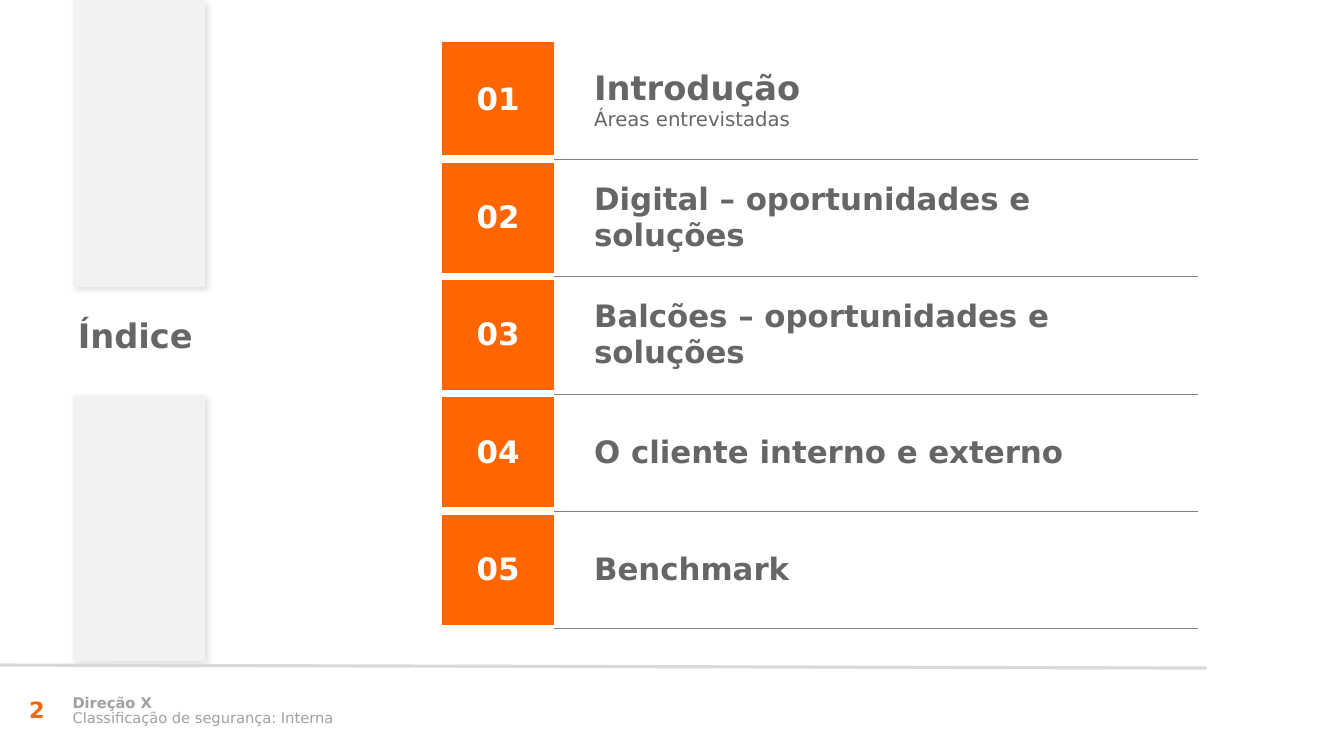
import pptx
import pptx.util
import pptx.dml.color
import pptx.enum.shapes
import pptx.enum.text
import pptx.oxml
import pptx.oxml.ns

Inches, Pt = pptx.util.Inches, pptx.util.Pt
RGBColor = pptx.dml.color.RGBColor
MIDDLE = pptx.enum.text.MSO_ANCHOR.MIDDLE
PP_ALIGN = pptx.enum.text.PP_ALIGN

# Content
HEADING = "Índice"
CHAPTERS = [
    ("Introdução", "Áreas entrevistadas"),
    ("Digital – oportunidades e soluções", None),
    ("Balcões – oportunidades e soluções", None),
    ("O cliente interno e externo", None),
    ("Benchmark", None),
]
FOOTER = [("Direção X", True), ("Classificação de segurança: Interna", False)]
PAGE = "2"

# Style
FONT = "DejaVu Sans"
ORANGE = RGBColor(0xFF, 0x66, 0x00)
WHITE = RGBColor(0xFF, 0xFF, 0xFF)
DARK = RGBColor(0x66, 0x66, 0x66)
MUTED = RGBColor(0xA1, 0xA1, 0xA1)
PANEL = RGBColor(0xF2, 0xF2, 0xF2)
SHADOW = RGBColor(0xBF, 0xBF, 0xBF)
FOOT_RULE = RGBColor(0xD9, 0xD9, 0xD9)
ROW_RULE = RGBColor(0x81, 0x81, 0x81)

# Grid, in inches
WIDTH, HEIGHT = 13.3, 7.48
PANEL_LEFT, PANEL_WIDTH = 0.72, 1.31
PANELS = [(0, 2.84), (3.91, 2.63)]
TABLE_LEFT, TABLE_TOP, ROW_HEIGHT = 4.37, 0.41, 1.162
COLUMNS = (1.12, 6.36)
FOOT_TOP, FOOT_STEP = 6.84, 0.15


def write(paragraph, text, size, color, bold):
    paragraph.text = text
    font = paragraph.runs[0].font
    font.name, font.size, font.bold = FONT, Pt(size), bold
    font.color.rgb = color


def add_label(slide, box, text, size, color, bold):
    label = slide.shapes.add_textbox(*map(Inches, box)).text_frame
    label.word_wrap = True
    label.vertical_anchor = MIDDLE
    write(label.paragraphs[0], text, size, color, bold)
    return label.paragraphs[0]


def add_effects(shape, content=""):
    shape._element.spPr.append(pptx.oxml.parse_xml(
        f'<a:effectLst {pptx.oxml.ns.nsdecls("a")}>{content}</a:effectLst>'))


def set_borders(cell, top, bottom):
    sides = {"L": (WHITE, 1), "R": (WHITE, 1), "T": top, "B": bottom}
    for side, (color, width) in sides.items():
        cell._tc.get_or_add_tcPr().append(pptx.oxml.parse_xml(
            f'<a:ln{side} {pptx.oxml.ns.nsdecls("a")} w="{Pt(width)}">'
            f'<a:solidFill><a:srgbClr val="{color}"/></a:solidFill></a:ln{side}>'))


def add_panels(slide):
    for top, height in PANELS:
        panel = slide.shapes.add_shape(
            pptx.enum.shapes.MSO_SHAPE.RECTANGLE,
            *map(Inches, (PANEL_LEFT, top, PANEL_WIDTH, height)))
        panel.fill.solid()
        panel.fill.fore_color.rgb = PANEL
        panel.line.fill.background()
        add_effects(panel, f'<a:outerShdw blurRad="{Pt(4)}" dist="{Pt(3)}" dir="2700000" '
                    f'algn="tl" rotWithShape="0"><a:srgbClr val="{SHADOW}">'
                    '<a:alpha val="43000"/></a:srgbClr></a:outerShdw>')


def add_index(slide):
    count = len(CHAPTERS)
    index = slide.shapes.add_table(
        count, 2, Inches(TABLE_LEFT), Inches(TABLE_TOP),
        Inches(sum(COLUMNS)), Inches(ROW_HEIGHT * count)).table
    index.first_row = index.horz_banding = False
    for column, width in zip(index.columns, COLUMNS):
        column.width = Inches(width)

    for row, (chapter, detail) in enumerate(CHAPTERS):
        index.rows[row].height = Inches(ROW_HEIGHT)
        number, entry = index.cell(row, 0), index.cell(row, 1)
        for cell, rule in ((number, (WHITE, 6)), (entry, (ROW_RULE, 0.25))):
            set_borders(cell, rule if row else (WHITE, 1), rule)
            cell.vertical_anchor = MIDDLE

        number.fill.solid()
        number.fill.fore_color.rgb = ORANGE
        numeral = number.text_frame.paragraphs[0]
        write(numeral, f"{row + 1:02}", 22, WHITE, True)
        numeral.alignment = PP_ALIGN.CENTER

        entry.fill.background()
        entry.margin_left = Inches(0.39)
        write(entry.text_frame.paragraphs[0], chapter, 24 if detail else 22, DARK, True)
        if detail:
            write(entry.text_frame.add_paragraph(), detail, 14, DARK, False)


def add_footer(slide):
    rule = slide.shapes.add_connector(
        pptx.enum.shapes.MSO_CONNECTOR.STRAIGHT,
        *map(Inches, (0, 6.58, 11.94, 6.61)))
    rule.line.color.rgb = FOOT_RULE
    rule.line.width = Pt(2.25)
    add_effects(rule)
    for line, (text, bold) in enumerate(FOOTER):
        box = (0.62, FOOT_TOP + line * FOOT_STEP, 7.53, 0.25)
        add_label(slide, box, text, 10.5, MUTED, bold).line_spacing = 0.85
    add_label(slide, (0.19, 6.82, 0.69, 0.4), PAGE, 16, ORANGE, True)


def main():
    deck = pptx.Presentation()
    deck.slide_width, deck.slide_height = Inches(WIDTH), Inches(HEIGHT)
    slide = deck.slides.add_slide(deck.slide_layouts[5])

    # Heading between the two panels
    title = slide.shapes.title
    title.left, title.top, title.width, title.height = map(Inches, (0.67, 3.06, 1.98, 0.5))
    title.text_frame.vertical_anchor = MIDDLE
    write(title.text_frame.paragraphs[0], HEADING, 24, DARK, True)
    title.text_frame.paragraphs[0].alignment = PP_ALIGN.LEFT

    add_panels(slide)
    add_index(slide)
    add_footer(slide)
    deck.save("out.pptx")


if __name__ == "__main__":
    main()
